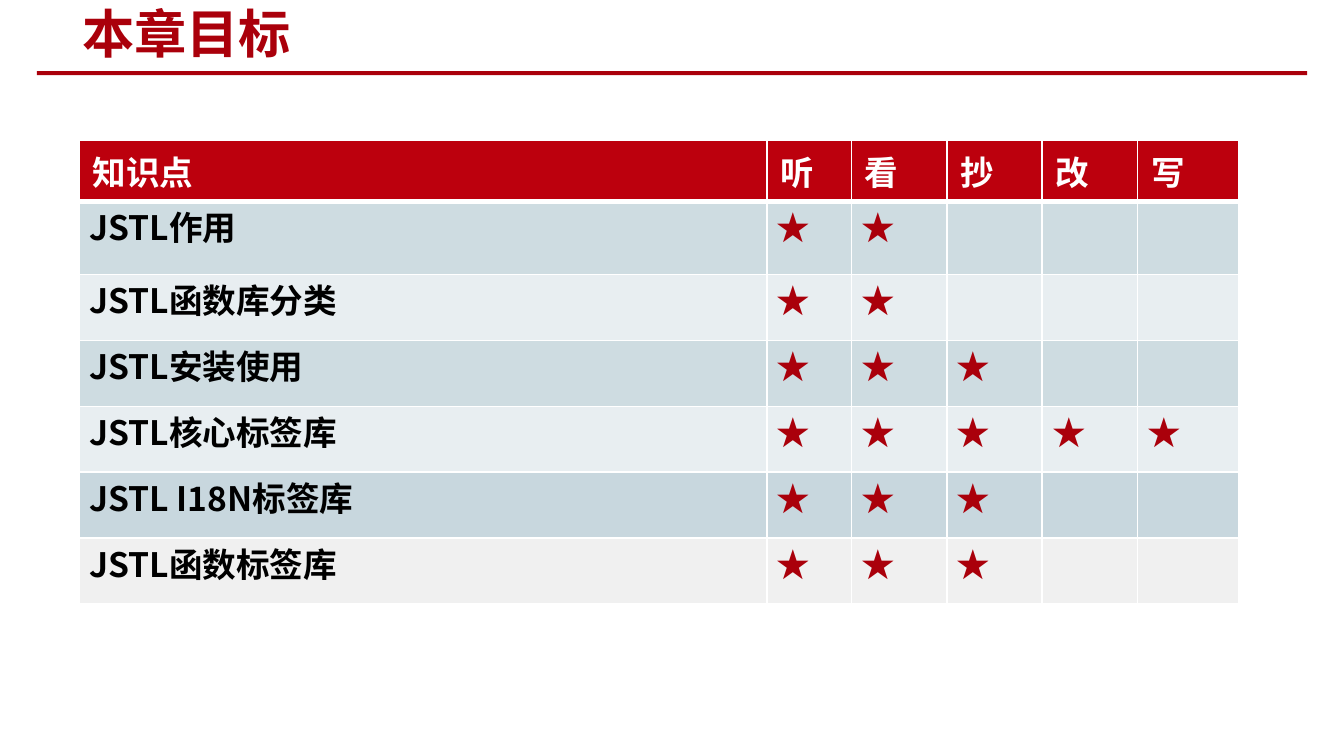
from dataclasses import dataclass

from lxml.etree import SubElement
from pptx import Presentation
from pptx.dml.color import RGBColor
from pptx.enum.shapes import MSO_SHAPE
from pptx.enum.text import MSO_ANCHOR
from pptx.oxml.ns import qn
from pptx.util import Inches, Pt

FONT = "Noto Sans CJK SC"
RED, WHITE, BLACK = "AA000B", "FFFFFF", "000000"
HEAD = "BC000D"
WIDE = Inches(10)
HIGH = WIDE * 9 // 16
STEPS = "听看抄改写"
COLS = [51.15, 6.3, 7.1, 7.1, 7.1, 7.55]
ROWS = [8.2, 9.6] + [8.73] * 5


@dataclass
class Topic:
    name: str
    stars: int
    fill: str


TOPICS = [
    Topic("JSTL作用", 2, "CEDCE1"),
    Topic("JSTL函数库分类", 2, "E8EEF1"),
    Topic("JSTL安装使用", 3, "CEDCE1"),
    Topic("JSTL核心标签库", 5, "E8EEF1"),
    Topic("JSTL I18N标签库", 3, "C8D7DE"),
    Topic("JSTL函数标签库", 3, "F0F0F0"),
]


def across(share: float) -> int:
    """Percent of the slide's width."""
    return round(WIDE * share / 100)


def down(share: float) -> int:
    """Percent of the slide's height."""
    return round(HIGH * share / 100)


def paint(color, value: str) -> None:
    color.rgb = RGBColor.from_string(value)


def write(frame, text: str, size: int, color: str) -> None:
    frame.text = text
    for run in frame.paragraphs[0].runs:
        font = run.font
        font.size, font.bold, font.name = Pt(size), True, FONT
        paint(font.color, color)
        SubElement(run._r.get_or_add_rPr(), qn("a:ea"), typeface=FONT)


def edge(cell, top: int, bottom: int) -> None:
    """Draw white borders, one point wide at the sides."""
    props = cell._tc.get_or_add_tcPr()
    for side, width in zip("LRTB", (1, 1, top, bottom)):
        line = SubElement(props, qn(f"a:ln{side}"), w=str(Pt(width)))
        fill = SubElement(line, qn("a:solidFill"))
        SubElement(fill, qn("a:srgbClr"), val=WHITE)


def fill_cell(cell, text: str, row: int, color: str, back: str) -> None:
    pad, rise = (7.2, 3.6) if row == 0 else (5.4, 0)
    cell.margin_left = cell.margin_right = Pt(pad)
    cell.margin_top = cell.margin_bottom = Pt(rise)
    edge(cell, 3 if row == 1 else 1, 3 if row == 0 else 1)
    cell.fill.solid()
    paint(cell.fill.fore_color, back)
    if text:
        write(cell.text_frame, text, 18, color)


def add_title(slide) -> None:
    rule = slide.shapes.add_shape(
        MSO_SHAPE.RECTANGLE, across(2.75), down(9.43), across(94.5), down(0.53))
    rule.shadow.inherit = False
    rule.fill.solid()
    paint(rule.fill.fore_color, RED)
    rule.line.fill.background()
    box = slide.shapes.add_textbox(across(5.15), down(0.36), across(53), down(8))
    frame = box.text_frame
    frame.word_wrap = True
    frame.vertical_anchor = MSO_ANCHOR.MIDDLE
    write(frame, "本章目标", 28, RED)


def add_goals(slide) -> None:
    table = slide.shapes.add_table(
        len(ROWS), len(COLS), across(5.9), down(18.5),
        across(sum(COLS)), down(sum(ROWS))).table
    for col, share in zip(table.columns, COLS):
        col.width = across(share)
    for row, share in zip(table.rows, ROWS):
        row.height = down(share)
    for col, text in enumerate(["知识点", *STEPS]):
        fill_cell(table.cell(0, col), text, 0, WHITE, HEAD)
    for row, topic in enumerate(TOPICS, 1):
        fill_cell(table.cell(row, 0), topic.name, row, BLACK, topic.fill)
        for col in range(1, len(COLS)):
            star = "★" if col <= topic.stars else ""
            fill_cell(table.cell(row, col), star, row, RED, topic.fill)


def main() -> None:
    deck = Presentation()
    deck.slide_width, deck.slide_height = WIDE, HIGH
    slide = deck.slides.add_slide(deck.slide_layouts[6])
    add_title(slide)
    add_goals(slide)
    deck.save("out.pptx")


if __name__ == "__main__":
    main()
